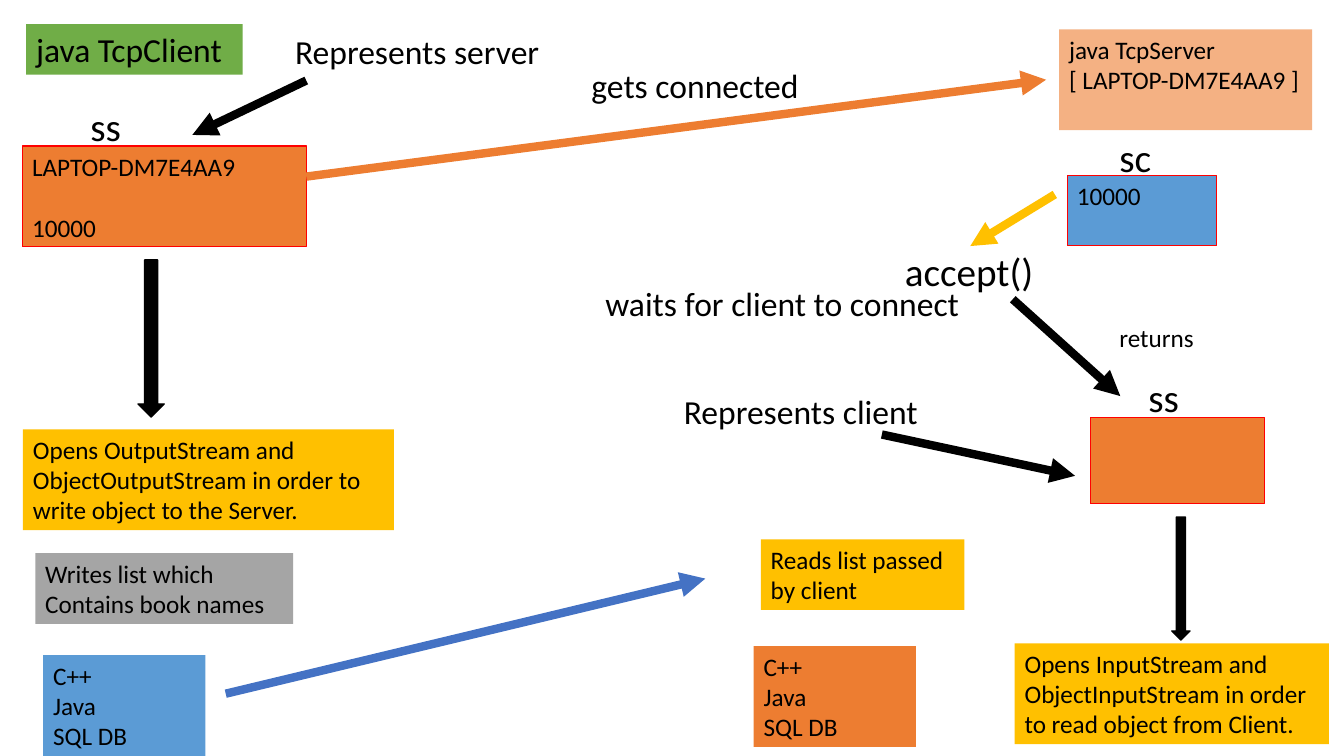
from lxml import etree
from pptx import Presentation, util as u
from pptx.dml.color import RGBColor
from pptx.enum import shapes, text
from pptx.oxml.ns import qn

Cm = u.Cm


def rgb(value):
    return RGBColor.from_string(value)


def add_text(content, x, y, w, h, size=18, fill=None, line=None, gap=0):
    box = [Cm(v) for v in (x, y, w, h)]
    if fill:
        sp = s.shapes.add_shape(shapes.MSO_SHAPE.RECTANGLE, *box)
        sp.shadow.inherit = False
        sp.fill.solid()
        sp.fill.fore_color.rgb = rgb(fill)
        if line:
            sp.line.color.rgb = rgb(line)
            sp.line.width = u.Pt(0.75)
        else:
            sp.line.fill.background()
    else:
        sp = s.shapes.add_textbox(*box)
    tf = sp.text_frame
    tf.word_wrap = True
    tf.vertical_anchor = text.MSO_ANCHOR.TOP
    for i, row in enumerate(content.split("\n")):
        p = tf.paragraphs[0] if i == 0 else tf.add_paragraph()
        p.alignment = text.PP_ALIGN.LEFT
        if i and gap:
            p.space_before = u.Pt(gap)
        if row:
            r = p.add_run()
            r.text = row
            r.font.name = "Calibri"
            r.font.size = u.Pt(size)
            r.font.color.rgb = rgb("000000")


prs = Presentation()
prs.slide_width, prs.slide_height = Cm(33.88), Cm(19.05)
s = prs.slides.add_slide(prs.slide_layouts[6])

GREEN, PEACH, GREY = "70AD47", "F4B183", "A5A5A5"
ORANGE, BLUE, GOLD, RED, BLACK = "ED7D31", "5B9BD5", "FFC000", "FF0000", "000000"

books = "C++\nJava\nSQL DB"
boxes = [
    ("java TcpServer\n[ LAPTOP-DM7E4AA9 ]", 26.7, 0.74, 6.38, 2.54, PEACH),
    ("Opens OutputStream and ObjectOutputStream in order to write object to the Server.",
     0.58, 10.82, 9.35, 2.54, GOLD),
    ("Opens InputStream and ObjectInputStream in order to read object from Client.",
     25.58, 16.21, 7.92, 2.54, GOLD),
    ("Writes list which\nContains book names", 0.89, 13.94, 6.5, 1.78, GREY),
    ("Reads list passed by client", 19.18, 13.59, 5.13, 1.78, GOLD),
    (books, 1.09, 16.51, 4.09, 2.54, BLUE),
    (books, 19, 16.28, 4.09, 2.54, ORANGE),
]
for content, x, y, w, h, fill in boxes:
    add_text(content, x, y, w, h, fill=fill)

add_text("java TcpClient", 0.66, 0.61, 5.46, 1.27, size=24, fill=GREEN)
add_text("10000", 26.9, 4.42, 3.78, 1.78, fill=BLUE, line=RED)
add_text("", 27.48, 10.52, 4.39, 2.18, fill=ORANGE, line=RED)
add_text("LAPTOP-DM7E4AA9\n10000", 0.56, 3.68, 7.16, 2.54, fill=ORANGE, line=RED, gap=22)

labels = [
    ("sc", 27.97, 3.23, 1.96, 1.45, 28),
    ("accept()", 22.56, 6.1, 3.78, 1.45, 28),
    ("ss", 28.7, 9.27, 1.96, 1.45, 28),
    ("ss", 2.03, 2.46, 1.96, 1.45, 28),
    ("waits for client to connect", 15.01, 7.01, 9.6, 1.27, 24),
    ("gets connected", 14.66, 1.5, 6.38, 1.27, 24),
    ("Represents server", 7.19, 0.66, 6.91, 1.27, 24),
    ("Represents client", 16.99, 9.73, 7.37, 1.27, 24),
    ("returns", 27.97, 8, 2.74, 1.02, 18),
]
for label in labels:
    add_text(*label)

arrows = [
    (26.59, 4.9, 24.46, 6.2, GOLD),
    (7.72, 4.45, 26.37, 2.01, ORANGE),
    (7.72, 2.03, 4.85, 3.4, BLACK),
    (22.23, 10.95, 27.1, 11.99, BLACK),
    (5.69, 17.48, 17.78, 14.58, "4472C4"),
    (25.53, 7.54, 28.24, 9.98, BLACK),
]
for *ends, color in arrows:
    arrow = s.shapes.add_connector(shapes.MSO_CONNECTOR.STRAIGHT, *[Cm(v) for v in ends])
    arrow.line.color.rgb = rgb(color)
    arrow.line.width = u.Pt(6)
    etree.SubElement(arrow.line._get_or_add_ln(), qn("a:tailEnd"), type="triangle")
    etree.SubElement(arrow._element.spPr, qn("a:effectLst"))

for down in [(3.48, 6.55, 0.66, 3.96), (29.54, 13.03, 0.46, 3.1)]:
    sp = s.shapes.add_shape(shapes.MSO_SHAPE.DOWN_ARROW, *[Cm(v) for v in down])
    sp.shadow.inherit = False
    sp.fill.solid()
    sp.fill.fore_color.rgb = rgb(BLACK)
    sp.line.color.rgb = rgb(BLACK)
    sp.line.width = u.Pt(1)

prs.save("out.pptx")
